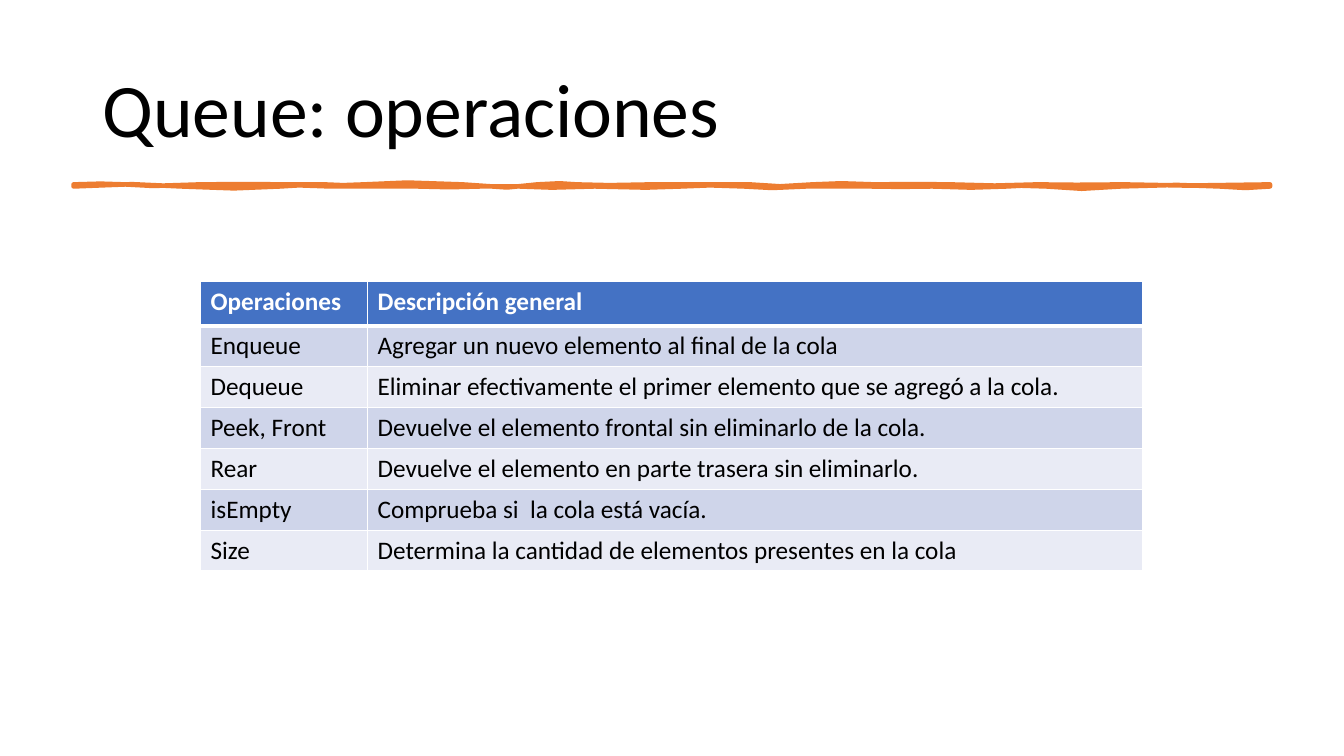
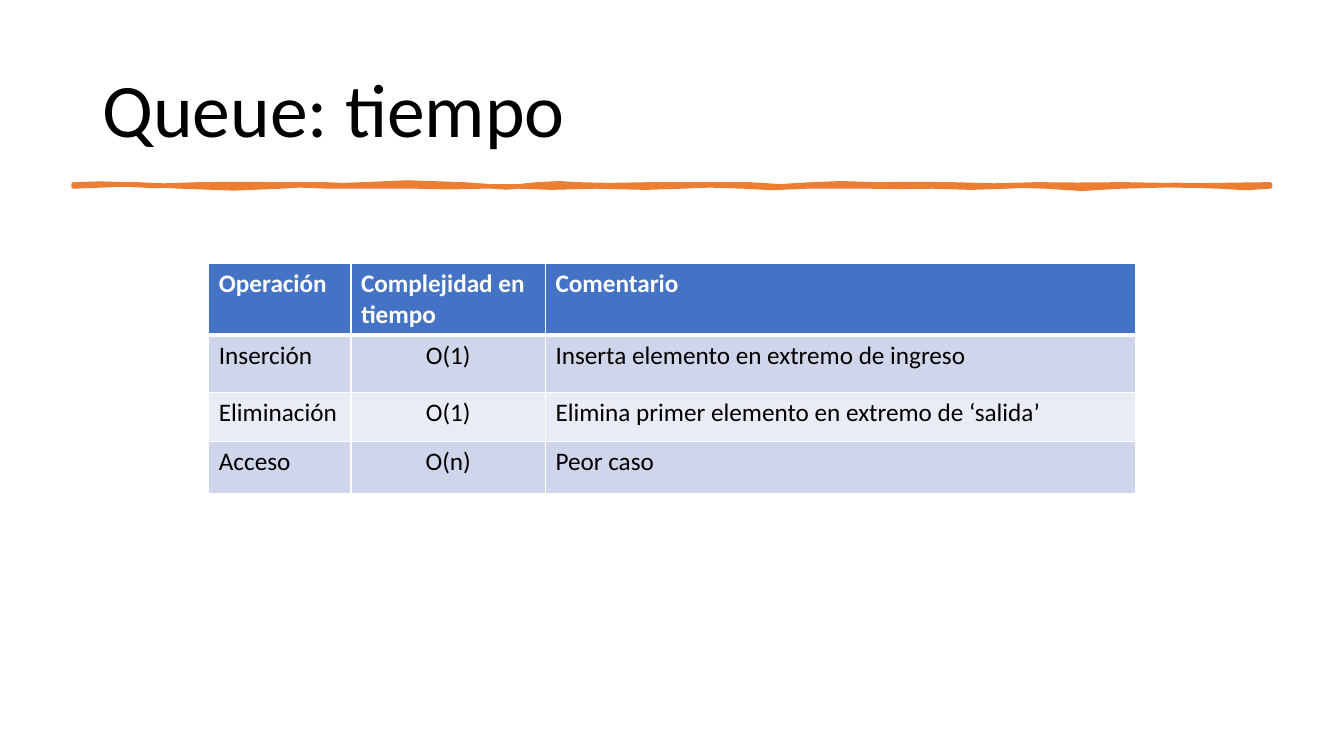
import pptx
import pptx.util
import pptx.dml.color
import pptx.enum.text
import pptx.oxml
import pptx.oxml.ns

COLORS = {
    "text": "000000",
    "white": "FFFFFF",
    "accent": "ED7D31",
    "header": "4472C4",
    "odd_row": "CFD5EA",
    "even_row": "E9EBF5",
}
FONT = "Calibri"
GRID_COLUMNS, GRID_ROWS = 160, 90
CELL = pptx.util.Inches(1 / 12)
TITLE_BOX = (11, 4.8, 138, 17.4)
BAND_BOX = (8.76, 21.96, 142.44, 0.24)
BAND_STEPS = 1187
CURVE_PARTS = 2

TOP_EDGE = [
    (16, -2, 38, 0, 51), (63, 1, 89, 3, 125), (161, -2, 178, 1, 211),
    (244, 0, 234, 0, 249), (265, 1, 269, 1, 288), (307, -1, 351, -4, 386),
    (421, 5, 444, 3, 460), (476, -2, 490, -1, 499), (508, 2, 552, 0, 573),
    (594, 1, 650, -1, 671), (692, 2, 709, 3, 733), (757, -2, 765, -1, 795),
    (826, 2, 841, -3, 870), (899, 4, 929, -1, 956), (982, 2, 1005, -1, 1042),
    (1078, 2, 1126, 1, 1187),
]
BOTTOM_EDGE = [
    (1169, 2, 1157, 2, 1137), (1117, -1, 1076, -3, 1039), (1002, 4, 997, 2, 965),
    (932, -1, 945, -1, 926), (907, 2, 875, 1, 852), (829, 0, 811, 1, 790),
    (768, 0, 755, 0, 727), (700, 1, 684, 3, 665), (646, -2, 615, -1, 603),
    (590, 2, 551, 1, 517), (482, 0, 464, 3, 442), (421, -2, 418, 2, 404),
    (390, -1, 357, 3, 341), (326, -2, 298, 2, 255), (213, -2, 230, -1, 205),
    (180, 2, 140, 3, 107), (74, -3, 45, -3, 0),
]

SLIDES = [
    {
        "title": "Queue: operaciones",
        "box": (23.88, 33.5, 112.16, 34.5),
        "columns": [19.88, 92.28],
        "rows": [5.28] + [4.87] * 6,
        "centered": [],
        "cells": [
            ("Operaciones", "Descripción general"),
            ("Enqueue", "Agregar un nuevo elemento al final de la cola"),
            ("Dequeue", "Eliminar efectivamente el primer elemento que se agregó a la cola."),
            ("Peek, Front", "Devuelve el elemento frontal sin eliminarlo de la cola."),
            ("Rear", "Devuelve el elemento en parte trasera sin eliminarlo."),
            ("isEmpty", "Comprueba si  la cola está vacía."),
            ("Size", "Determina la cantidad de elementos presentes en la cola"),
        ],
    },
    {
        "title": "Queue: tiempo",
        "box": (24.86, 31.36, 110.28, 27.24),
        "columns": [16.92, 23.16, 70.2],
        "rows": [5.28, 6.84, 5.88, 6.12],
        "centered": [1],
        "cells": [
            ("Operación", "Complejidad en tiempo", "Comentario"),
            ("Inserción", "O(1)", "Inserta elemento en extremo de ingreso"),
            ("Eliminación", "O(1)", "Elimina primer elemento en extremo de ‘salida’"),
            ("Acceso", "O(n)", "Peor caso"),
        ],
    },
]


def grid(*lengths):
    return [pptx.util.Emu(round(length * CELL)) for length in lengths]


def rgb(name):
    return pptx.dml.color.RGBColor.from_string(COLORS[name])


def format_runs(paragraph, size, color, bold=False):
    for run in paragraph.runs:
        run.font.name = FONT
        run.font.size = pptx.util.Pt(size)
        run.font.bold = bold
        run.font.color.rgb = rgb(color)


def add_title(slide, text, box):
    title = slide.shapes.title
    title.left, title.top, title.width, title.height = grid(*box)
    frame = title.text_frame
    frame.text = text
    frame.auto_size = pptx.enum.text.MSO_AUTO_SIZE.NONE
    frame.vertical_anchor = pptx.enum.text.MSO_ANCHOR.MIDDLE
    paragraph = frame.paragraphs[0]
    paragraph.alignment = pptx.enum.text.PP_ALIGN.LEFT
    paragraph.line_spacing = 0.9
    format_runs(paragraph, 54, "text")


def curve_points(start, curves):
    points = []
    for x1, y1, x2, y2, end in curves:
        for part in range(1, CURVE_PARTS + 1):
            t = part / CURVE_PARTS
            u = 1 - t
            x = u**3 * start + 3 * u * u * t * x1 + 3 * u * t * t * x2 + t**3 * end
            y = 3 * u * u * t * y1 + 3 * u * t * t * y2
            points.append((x, y))
        start = end
    return points


def add_band(slide, box):
    left, top, width, height = grid(*box)
    edges = [
        (top, [(0, 0)] + curve_points(0, TOP_EDGE)),
        (top + height, [(BAND_STEPS, 0)] + curve_points(BAND_STEPS, BOTTOM_EDGE)),
    ]
    points = [
        (round(left + x / BAND_STEPS * width), round(edge_top + y * height / 2))
        for edge_top, edge in edges
        for x, y in edge
    ]
    builder = slide.shapes.build_freeform(*points[0])
    builder.add_line_segments(points[1:], close=True)
    band = builder.convert_to_shape()
    band.shadow.inherit = False
    band.fill.solid()
    band.fill.fore_color.rgb = rgb("accent")
    band.line.color.rgb = rgb("accent")
    band.line.width = pptx.util.Pt(3.25)


def set_borders(cell, row_index):
    widths = {
        "lnL": 1,
        "lnR": 1,
        "lnT": 3 if row_index == 1 else 1,
        "lnB": 3 if row_index == 0 else 1,
    }
    properties = cell._tc.get_or_add_tcPr()
    for position, (side, width) in enumerate(widths.items()):
        border = pptx.oxml.parse_xml(
            f'<a:{side} {pptx.oxml.ns.nsdecls("a")} w="{pptx.util.Pt(width)}">'
            f'<a:solidFill><a:srgbClr val="{COLORS["white"]}"/></a:solidFill></a:{side}>'
        )
        properties.insert(position, border)


def format_cell(cell, text, row_index, centered):
    is_header = row_index == 0
    cell.text_frame.text = text
    paragraph = cell.text_frame.paragraphs[0]
    if centered and not is_header:
        paragraph.alignment = pptx.enum.text.PP_ALIGN.CENTER
    format_runs(paragraph, 18, "white" if is_header else "text", is_header)
    cell.fill.solid()
    banding = "odd_row" if row_index % 2 else "even_row"
    cell.fill.fore_color.rgb = rgb("header" if is_header else banding)
    set_borders(cell, row_index)


def add_table(slide, content):
    columns, rows = content["columns"], content["rows"]
    box = grid(*content["box"])
    table_frame = slide.shapes.add_table(len(rows), len(columns), *box)
    table = table_frame.table
    for column, width in zip(table.columns, grid(*columns)):
        column.width = width
    for row, height in zip(table.rows, grid(*rows)):
        row.height = height
    table_frame.height = box[3]
    for row_index, texts in enumerate(content["cells"]):
        for column_index, text in enumerate(texts):
            cell = table.cell(row_index, column_index)
            format_cell(cell, text, row_index, column_index in content["centered"])


def add_table_slide(presentation, content):
    slide = presentation.slides.add_slide(presentation.slide_layouts[5])
    add_title(slide, content["title"], TITLE_BOX)
    add_band(slide, BAND_BOX)
    add_table(slide, content)


def main():
    presentation = pptx.Presentation()
    presentation.slide_width, presentation.slide_height = grid(GRID_COLUMNS, GRID_ROWS)
    for content in SLIDES:
        add_table_slide(presentation, content)
    presentation.save("out.pptx")


if __name__ == "__main__":
    main()
